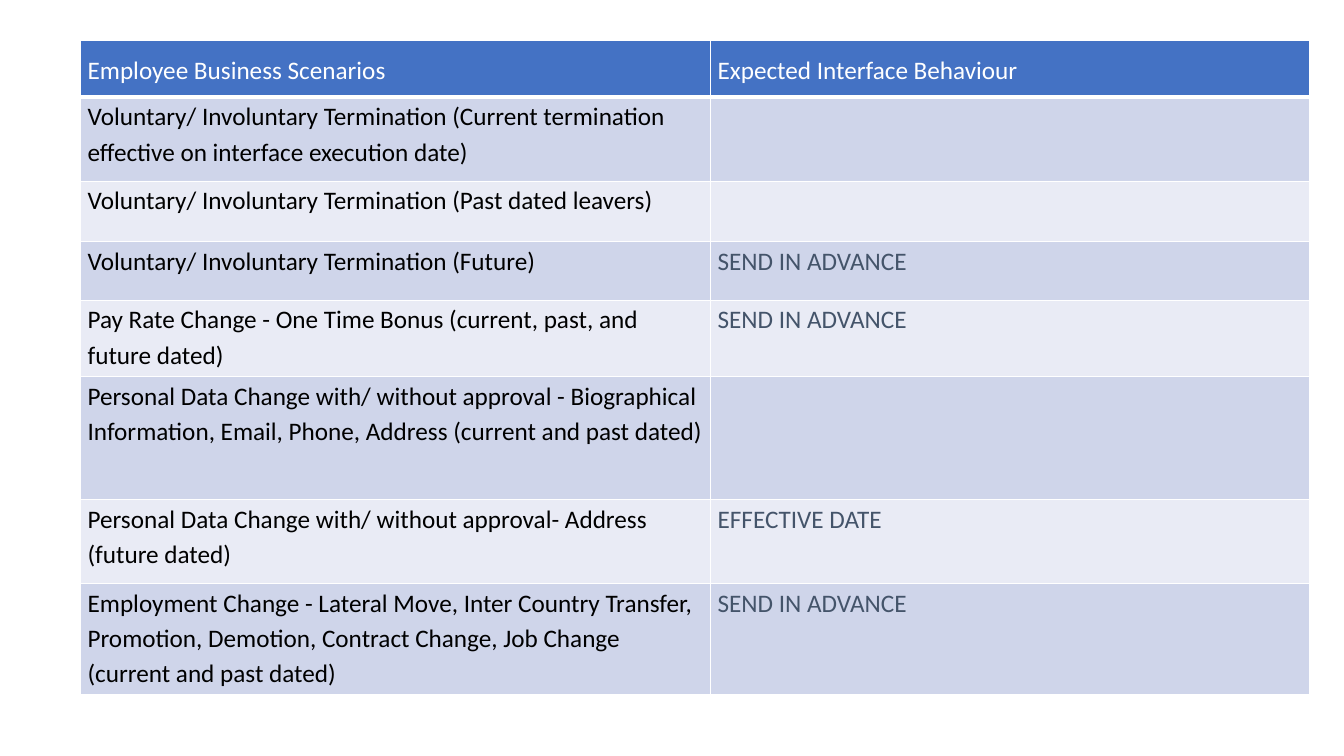
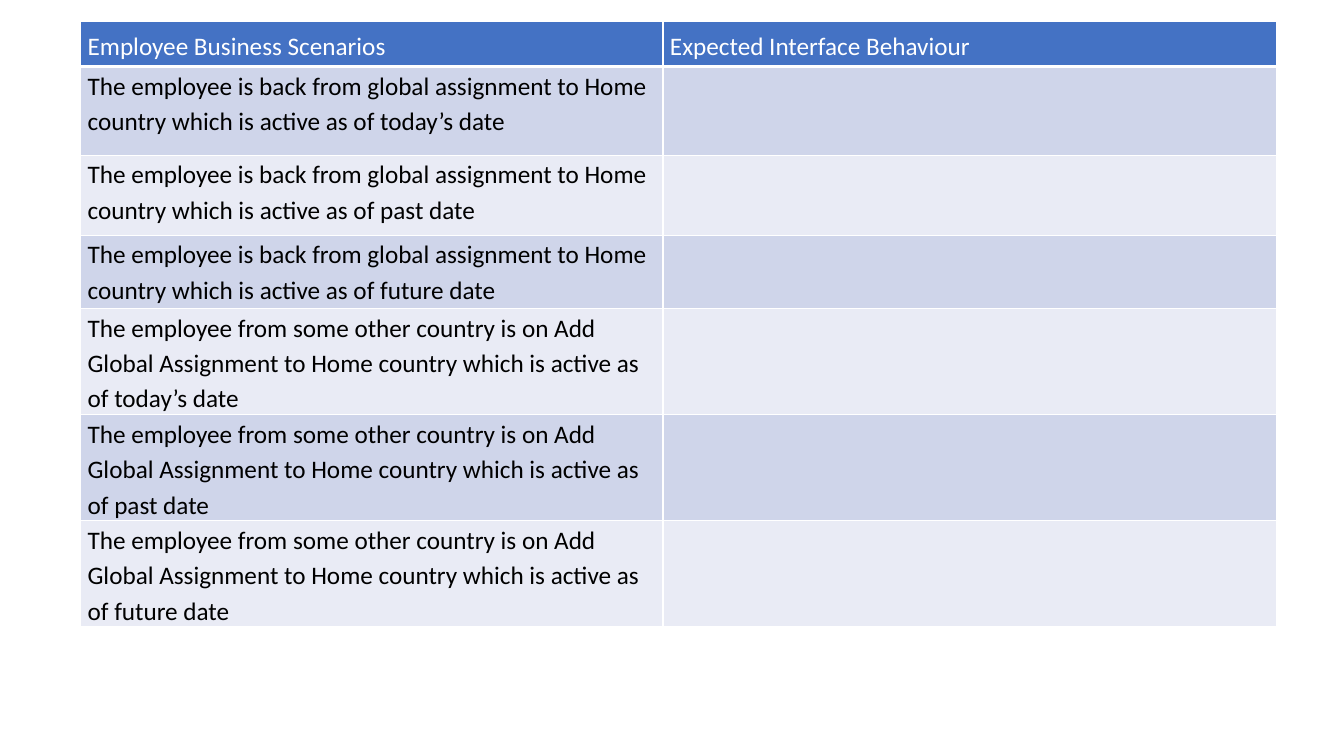
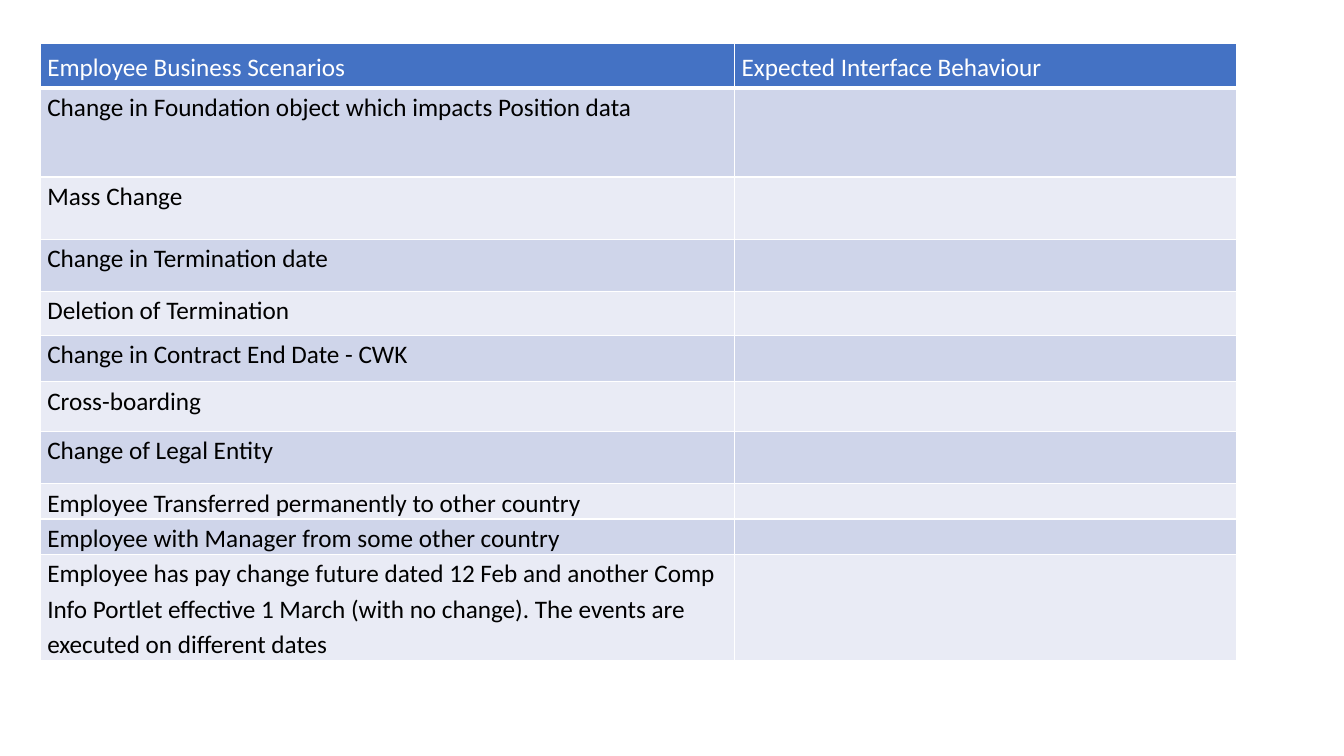
from dataclasses import dataclass

from lxml.etree import SubElement
from pptx import Presentation
from pptx.dml.color import RGBColor
from pptx.enum.text import MSO_ANCHOR, PP_ALIGN
from pptx.oxml.ns import qn
from pptx.util import Pt


@dataclass(frozen=True)
class Theme:
    font: str = "Calibri"
    size: float = 18
    line_spacing: float = 1.15
    space_after: float = 10
    inset: float = 5
    header_fill: str = "4472C4"
    bands: tuple = ("CFD5EA", "E9EBF5")
    header_text: str = "FFFFFF"
    body_text: str = "000000"
    answer_text: str = "44546A"
    border: str = "FFFFFF"
    border_width: float = 1
    header_rule: float = 3


THEME = Theme()
HEADINGS = ("Employee Business Scenarios", "Expected Interface Behaviour")

# Each row: height in points, scenario, expected behaviour
TERMINATION = "Voluntary/ Involuntary Termination"
PERSONAL_DATA = "Personal Data Change with/ without approval"
LIFECYCLE_ROWS = [
    (60, f"{TERMINATION} (Current termination effective on interface execution date)", ""),
    (43, f"{TERMINATION} (Past dated leavers)", ""),
    (42, f"{TERMINATION} (Future)", "SEND IN ADVANCE"),
    (54.5, "Pay Rate Change - One Time Bonus (current, past, and future dated)",
     "SEND IN ADVANCE"),
    (88, f"{PERSONAL_DATA} - Biographical Information, Email, Phone, Address "
     "(current and past dated)", ""),
    (60, f"{PERSONAL_DATA}- Address (future dated)", "EFFECTIVE DATE"),
    (79, "Employment Change - Lateral Move, Inter Country Transfer, Promotion, "
     "Demotion, Contract Change, Job Change (current and past dated)",
     "SEND IN ADVANCE"),
]

RETURNING = "The employee is back from global assignment to Home country"
ARRIVING = ("The employee from some other country is on Add Global Assignment "
            "to Home country")
DATES = ("today’s", "past", "future")
ASSIGNMENT_ROWS = [
    (height, f"{opening} which is active as of {date} date", "")
    for opening, heights in ((RETURNING, (63.5, 57, 52.5)), (ARRIVING, (75.5,) * 3))
    for height, date in zip(heights, DATES)
]

CHANGE_ROWS = [
    (63.5, "Change in Foundation object which impacts Position data", ""),
    (44.5, "Mass Change", ""),
    (37, "Change in Termination date", ""),
    (31.5, "Deletion of Termination", ""),
    (33, "Change in Contract End Date - CWK", ""),
    (35.5, "Cross-boarding", ""),
    (37.5, "Change of Legal Entity", ""),
    (25, "Employee Transferred permanently to other country", ""),
    (25, "Employee with Manager from some other country", ""),
    (75.5, "Employee has pay change future dated 12 Feb and another Comp Info "
     "Portlet effective 1 March (with no change). The events are executed on "
     "different dates", ""),
]


def set_borders(cell, bottom_width):
    """Draw the four edges, which must precede the fill in the cell properties."""
    properties = cell._tc.get_or_add_tcPr()
    widths = {"lnL": THEME.border_width, "lnR": THEME.border_width,
              "lnT": THEME.border_width, "lnB": bottom_width}
    for position, (edge, width) in enumerate(widths.items()):
        line = SubElement(properties, qn(f"a:{edge}"), w=str(Pt(width)))
        fill = SubElement(line, qn("a:solidFill"))
        SubElement(fill, qn("a:srgbClr"), val=THEME.border)
        properties.insert(position, line)


def fill_cell(cell, text, fill, color, is_header=False):
    cell.margin_left = cell.margin_right = Pt(THEME.inset)
    cell.margin_top = cell.margin_bottom = Pt(0)
    cell.vertical_anchor = MSO_ANCHOR.MIDDLE if is_header else MSO_ANCHOR.TOP
    cell.fill.solid()
    cell.fill.fore_color.rgb = RGBColor.from_string(fill)
    set_borders(cell, THEME.header_rule if is_header else THEME.border_width)
    if not text:
        return
    cell.text_frame.text = text
    para = cell.text_frame.paragraphs[0]
    para.alignment = PP_ALIGN.JUSTIFY if is_header else PP_ALIGN.LEFT
    para.line_spacing = THEME.line_spacing
    para.space_after = Pt(THEME.space_after)
    for span in para.runs:
        span.font.name = THEME.font
        span.font.size = Pt(THEME.size)
        span.font.bold = False
        span.font.color.rgb = RGBColor.from_string(color)


def add_scenario_slide(deck, left, top, column_widths, header_height, rows):
    """Add a slide holding one two-column scenario table."""
    page = deck.slides.add_slide(deck.slide_layouts[6])
    heights = [header_height] + [row[0] for row in rows]
    table = page.shapes.add_table(
        len(heights), len(column_widths), Pt(left), Pt(top),
        Pt(sum(column_widths)), Pt(sum(heights))).table
    table.first_row = table.horz_banding = False
    for column, width in zip(table.columns, column_widths):
        column.width = Pt(width)
    for row, height in zip(table.rows, heights):
        row.height = Pt(height)

    # Header row
    for column, heading in enumerate(HEADINGS):
        fill_cell(table.cell(0, column), heading, THEME.header_fill,
                  THEME.header_text, is_header=True)

    # Banded scenario rows
    for index, (_, scenario, behaviour) in enumerate(rows):
        band = THEME.bands[index % 2]
        fill_cell(table.cell(index + 1, 0), scenario, band, THEME.body_text)
        fill_cell(table.cell(index + 1, 1), behaviour, band, THEME.answer_text)


def main():
    deck = Presentation()
    deck.slide_width, deck.slide_height = Pt(960), Pt(540)
    add_scenario_slide(deck, 57.6, 29, (450, 427.5), 40.5, LIFECYCLE_ROWS)
    add_scenario_slide(deck, 57.6, 15.5, (416, 438.5), 32, ASSIGNMENT_ROWS)
    add_scenario_slide(deck, 28.8, 31, (496, 358.5), 32, CHANGE_ROWS)
    deck.save("out.pptx")


if __name__ == "__main__":
    main()
